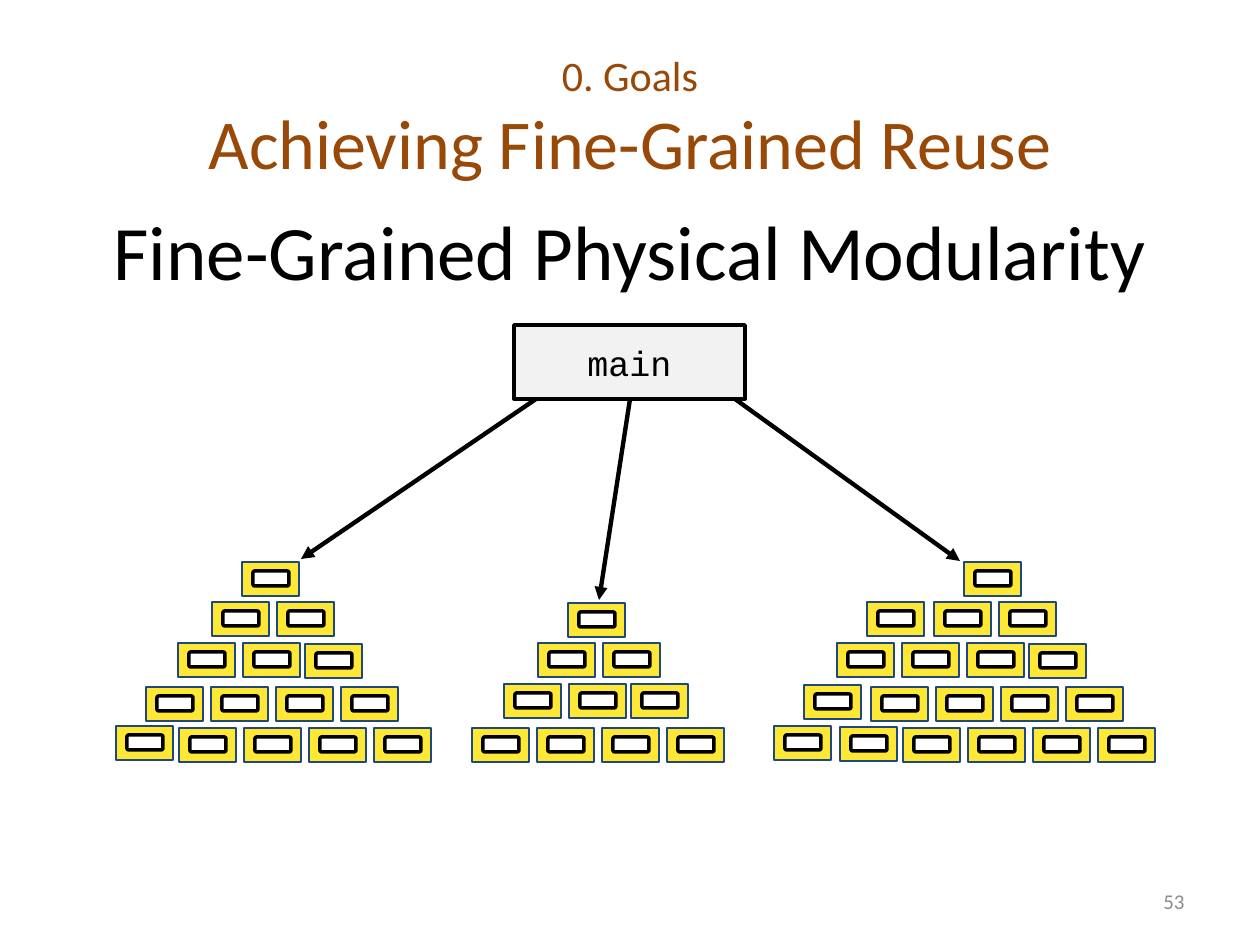
from lxml import etree
from pptx import Presentation
from pptx.dml.color import RGBColor
from pptx.enum.shapes import MSO_CONNECTOR, MSO_SHAPE
from pptx.enum.text import MSO_ANCHOR, PP_ALIGN
from pptx.oxml.ns import qn
from pptx.util import Emu, Pt

RECT, ROUND = MSO_SHAPE.RECTANGLE, MSO_SHAPE.ROUNDED_RECTANGLE
STRAIGHT = MSO_CONNECTOR.STRAIGHT
TOP, MIDDLE = MSO_ANCHOR.TOP, MSO_ANCHOR.MIDDLE
CENTER, RIGHT = PP_ALIGN.CENTER, PP_ALIGN.RIGHT
PX = 914400 / 126
rgb = RGBColor.from_string


def px(*values):
    return [Emu(round(v * PX)) for v in values]


def box(kind, bounds, fill, line, width):
    sp = s.shapes.add_shape(kind, *px(*bounds))
    sp.shadow.inherit = False
    sp.fill.solid()
    sp.fill.fore_color.rgb = rgb(fill)
    sp.line.color.rgb = rgb(line)
    sp.line.width = Pt(width)
    return sp


prs = Presentation()
prs.slide_width, prs.slide_height = px(1260, 945)
s = prs.slides.add_slide(prs.slide_layouts[6])

title = s.shapes.add_textbox(*px(63, 38, 1134, 157))
body = s.shapes.add_textbox(*px(63, 220, 1134, 624))
main = box(RECT, (514, 325, 231, 74), "F2F2F2", "000000", 2)
number = s.shapes.add_textbox(*px(903, 876, 294, 50))

texts = [
    (title, [("0. Goals", 24), ("Achieving Fine-Grained Reuse", 40)],
     "Calibri", "984807", MIDDLE, CENTER, False),
    (body, [("Fine-Grained Physical Modularity", 44)],
     "Calibri", "000000", TOP, CENTER, True),
    (main, [("main", 20)], "Courier New", "000000", MIDDLE, CENTER, False),
    (number, [("53", 12)], "Calibri", "8C8C8C", MIDDLE, RIGHT, True),
]
for sp, lines, font, color, anchor, align, wrap in texts:
    tf = sp.text_frame
    for name, value in {"word_wrap": wrap, "vertical_anchor": anchor}.items():
        setattr(tf, name, value)
    p = tf.paragraphs[0]
    p.alignment = align
    for i, (text, size) in enumerate(lines):
        if i:
            p.add_line_break()
        r = p.add_run()
        r.text = text
        for name, value in {"name": font, "size": Pt(size)}.items():
            setattr(r.font, name, value)
        r.font.color.rgb = rgb(color)
body.text_frame.paragraphs[0].line_spacing = Pt(40)

for ends in [(536, 399, 301, 559), (630, 399, 599, 600), (735, 399, 960, 561)]:
    c = s.shapes.add_connector(STRAIGHT, *px(*ends))
    c.line.color.rgb = rgb("000000")
    c.line.width = Pt(2.5)
    etree.SubElement(c.line._get_or_add_ln(), qn("a:tailEnd"), type="triangle")
    etree.SubElement(c._element.spPr, qn("a:effectLst"))

middle_rows = [(568, 603, 1), (538, 643, 2), (504, 684, 2), (631, 684, 1),
               (472, 728, 4)]
left_rows = [(242, 562, 1), (212, 602, 2), (178, 643, 2), (305, 644, 1),
             (146, 687, 4), (179, 728, 4), (116, 726, 1)]
right_rows = [(964, 562, 1), (867, 602, 1), (934, 602, 2), (837, 643, 3),
              (1029, 644, 1), (804, 685, 1), (871, 687, 4), (774, 726, 1),
              (840, 727, 1), (903, 728, 4)]
for left, y, count in middle_rows + left_rows + right_rows:
    for i in range(count):
        x = left + 65 * i
        box(RECT, (x, y, 57, 34), "FFE735", "1F497D", 1.5)
        slot = box(ROUND, (x + 11, y + 9, 36, 15), "FFFFFF", "000000", 2)
        slot.adjustments[0] = 0.125

prs.save("out.pptx")
